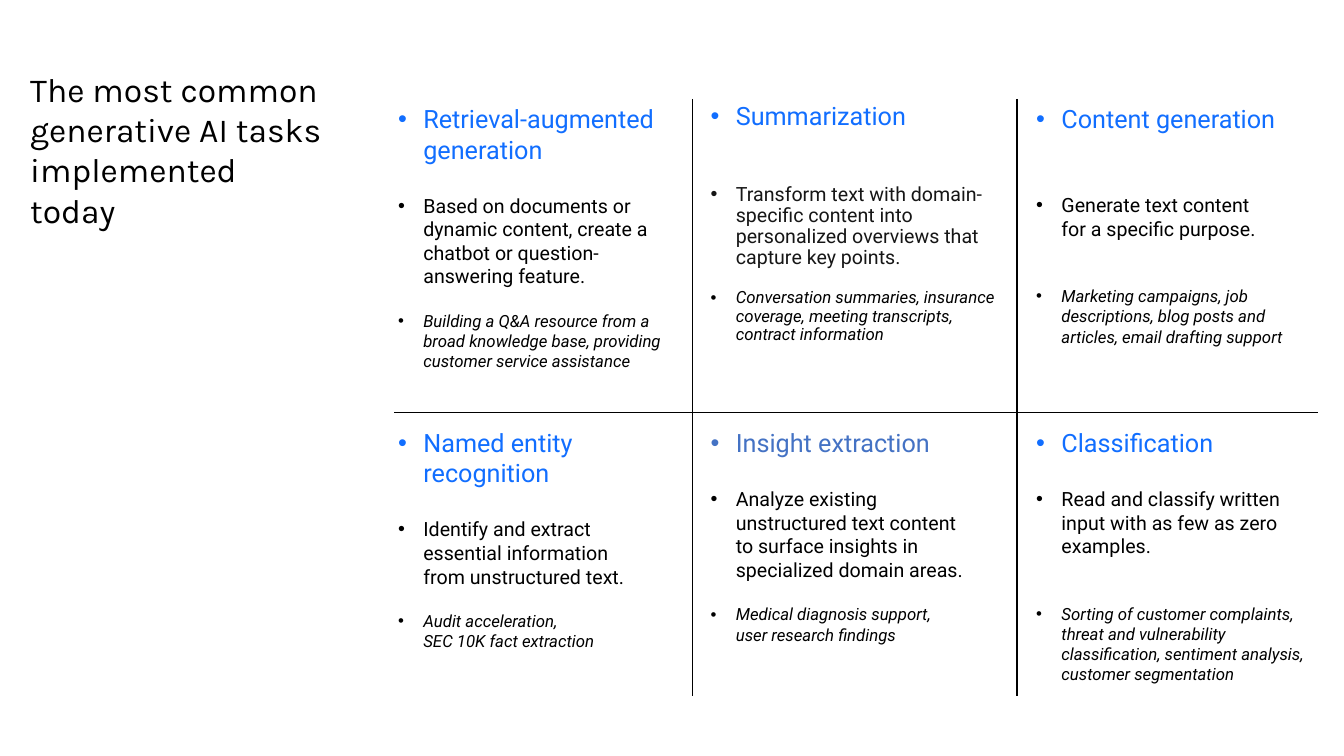
from copy import deepcopy

from lxml import etree
from pptx import Presentation
from pptx.dml.color import RGBColor
from pptx.enum.shapes import MSO_CONNECTOR
from pptx.enum.text import MSO_ANCHOR
from pptx.oxml.ns import qn
from pptx.util import Pt

STRAIGHT = MSO_CONNECTOR.STRAIGHT
TOP = MSO_ANCHOR.TOP
BLACK, BLUE, SOFT_BLUE, DARK = "000000", "116EFF", "4472C4", "161616"
LINE_HEIGHT = 1.17
COLUMNS = (280.8, 504, 736.6)
ROWS = ((70.6, 202), (301.7, 195))

# Fields: column, row, width, heading, task, examples, options
TASKS = [
    (0, 0, 206, "Retrieval-augmented generation",
     "Based on documents or dynamic content, create a chatbot or question-answering feature.",
     "Building a Q&A resource from a\nbroad knowledge base, providing customer service assistance", {}),
    (1, 0, 215, "Summarization",
     "Transform text with domain-specific content into personalized overviews that capture key points.",
     "Conversation summaries, insurance coverage, meeting transcripts,\ncontract information",
     {"heading_gap": 2, "spacing": 0.9, "task_color": DARK}),
    (2, 0, 200, "Content generation",
     "Generate text content\nfor a specific purpose.",
     "Marketing campaigns, job descriptions, blog posts and articles, email drafting support",
     {"heading_gap": 2, "task_gap": 2}),
    (0, 1, 206, "Named entity recognition",
     "Identify and extract\nessential information\nfrom unstructured text.",
     "Audit acceleration,\nSEC 10K fact extraction", {}),
    (1, 1, 192, "Insight extraction",
     "Analyze existing unstructured text content to surface insights in specialized domain areas.",
     "Medical diagnosis support,\nuser research findings", {"heading_color": SOFT_BLUE}),
    (2, 1, 200, "Classification",
     "Read and classify written input with as few as zero examples.",
     "Sorting of customer complaints, threat and vulnerability\n"
     "classification, sentiment analysis, customer segmentation", {"task_gap": 2}),
]


def rgb(value):
    """Turn a hex string into a colour."""
    return RGBColor.from_string(value)


def add_frame(slide, x, y, w, h, inset=0):
    """Add a wrapping text box and return its text frame."""
    tf = slide.shapes.add_textbox(Pt(x), Pt(y), Pt(w), Pt(h)).text_frame
    tf.word_wrap = True
    tf.vertical_anchor = TOP
    tf.margin_left = tf.margin_right = tf.margin_top = tf.margin_bottom = Pt(inset)
    return tf


def write(p, text, *, size, font="Roboto", color=BLACK, italic=False,
          bullet=False, before=0, spacing=1.0):
    """Fill a paragraph with formatted text."""
    p.text = text
    if bullet:
        pPr = p._p.get_or_add_pPr()
        pPr.set("marL", str(Pt(18)))
        pPr.set("indent", str(-Pt(18)))
        etree.SubElement(pPr, qn("a:buFont")).set("typeface", "Arial")
        etree.SubElement(pPr, qn("a:buChar")).set("char", "•")
    p.line_spacing = spacing
    p.space_before = Pt(before)
    for r in p.runs:
        r.font.size = Pt(size)
        r.font.name = font
        r.font.italic = italic
        r.font.color.rgb = rgb(color)
    for br in p._p.findall(qn("a:br")):
        br.append(deepcopy(p.runs[0]._r.rPr))


def add_task(slide, column, row, width, heading, task, examples, *, heading_color=BLUE,
             task_color=BLACK, heading_gap=1, task_gap=1, spacing=1.0):
    """Add one grid cell; gaps are counted in lines of the text above."""
    y, h = ROWS[row]
    tf = add_frame(slide, COLUMNS[column], y, width, h, inset=3.6)
    line = LINE_HEIGHT * spacing
    write(tf.paragraphs[0], heading, size=18, color=heading_color, bullet=True, spacing=spacing)
    write(tf.add_paragraph(), task, size=14, color=task_color, bullet=True,
          before=round(18 * line * heading_gap, 1), spacing=spacing)
    write(tf.add_paragraph(), examples, size=12, italic=True, bullet=True,
          before=round(14 * line * task_gap, 1), spacing=spacing)


def add_rule(slide, x1, y1, x2, y2):
    """Add a thin black divider."""
    c = slide.shapes.add_connector(STRAIGHT, Pt(x1), Pt(y1), Pt(x2), Pt(y2))
    c.line.color.rgb = rgb(BLACK)
    c.line.width = Pt(1)
    etree.SubElement(c._element.spPr, qn("a:effectLst"))


def main():
    """Build the slide and save it."""
    prs = Presentation()
    prs.slide_width, prs.slide_height = Pt(960), Pt(540)
    slide = prs.slides.add_slide(prs.slide_layouts[6])

    title = add_frame(slide, 21.6, 49, 211.7, 99.4)
    write(title.paragraphs[0], "The most common generative AI tasks implemented today",
          size=24, font="Karla")
    for *cell, options in TASKS:
        add_task(slide, *cell, **options)
    for x in (494.6, 726.5):
        add_rule(slide, x, 70.6, x, 496.8)
    add_rule(slide, 281.5, 294.5, 941.8, 294.5)

    prs.save("out.pptx")


if __name__ == "__main__":
    main()
